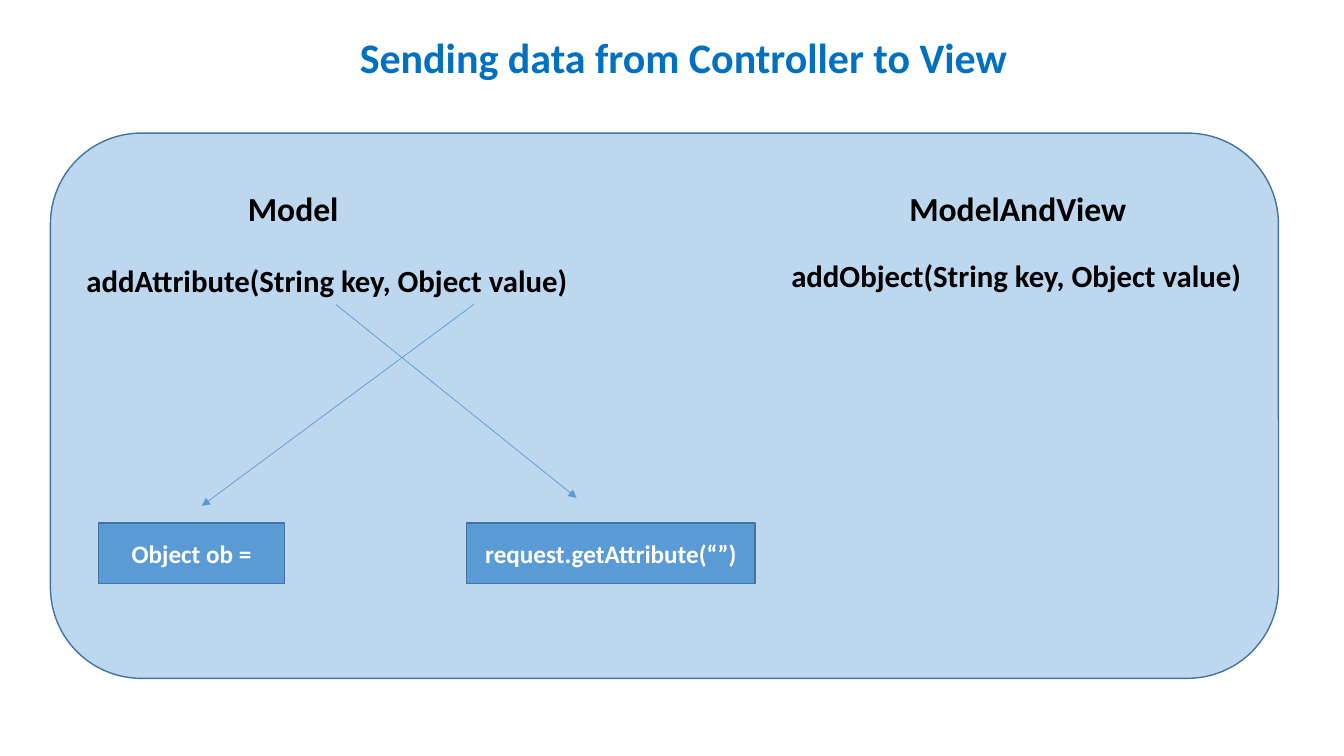
from pptx import Presentation
from pptx.dml.color import RGBColor
from pptx.enum.shapes import MSO_CONNECTOR, MSO_SHAPE
from pptx.enum.text import MSO_ANCHOR, MSO_AUTO_SIZE, PP_ALIGN
from pptx.oxml.ns import qn
from pptx.util import Inches, Pt
from lxml.etree import SubElement

PANEL_BLUE, BOX_BLUE, EDGE_BLUE = "BDD7EE", "5B9BD5", "43739E"
TITLE_BLUE, BLACK, WHITE = "0070C0", "000000", "FFFFFF"


def paint(color_format, hex_color):
    color_format.rgb = RGBColor.from_string(hex_color)


def write(frame, text, size, color, frame_format):
    for attribute, value in frame_format.items():
        setattr(frame, attribute, value)
    run = frame.paragraphs[0].add_run()
    run.text = text
    font_format = {"name": "Calibri", "size": Pt(size), "bold": True}
    for attribute, value in font_format.items():
        setattr(run.font, attribute, value)
    paint(run.font.color, color)


presentation = Presentation()
presentation.slide_width = Inches(13.33)
presentation.slide_height = Inches(7.5)
slide = presentation.slides.add_slide(presentation.slide_layouts[6])
shapes = slide.shapes

# Background panel and the two code boxes
code_top, code_height = 5.19, 0.6
blocks = [
    (MSO_SHAPE.ROUNDED_RECTANGLE, 0.5, 1.32, 12.18, 5.41, PANEL_BLUE, ""),
    (MSO_SHAPE.RECTANGLE, 0.98, code_top, 1.84, code_height, BOX_BLUE,
     "Object ob ="),
    (MSO_SHAPE.RECTANGLE, 4.63, code_top, 2.86, code_height, BOX_BLUE,
     "request.getAttribute(“”)"),
]
code_format = {"word_wrap": True, "vertical_anchor": MSO_ANCHOR.MIDDLE}
for outline, left, top, width, height, fill, code in blocks:
    block = shapes.add_shape(outline, Inches(left), Inches(top),
                             Inches(width), Inches(height))
    block.shadow.inherit = False
    block.fill.solid()
    paint(block.fill.fore_color, fill)
    paint(block.line.color, EDGE_BLUE)
    block.line.width = Pt(1)
    if code:
        write(block.text_frame, code, 18, WHITE, code_format)
        block.text_frame.paragraphs[0].alignment = PP_ALIGN.CENTER

# Title, class names and method signatures
labels = [
    ("Sending data from Controller to View", 3.47, 0.26, 6.64, 0.61, 30, TITLE_BLUE),
    ("Model", 2.36, 1.82, 1.11, 0.5, 24, BLACK),
    ("ModelAndView", 8.92, 1.82, 2.38, 0.5, 24, BLACK),
    ("addAttribute(String key, Object value)", 0.76, 2.55, 5.14, 0.47, 22, BLACK),
    ("addObject(String key, Object value)", 7.75, 2.5, 4.71, 0.47, 22, BLACK),
]
label_format = {"word_wrap": False, "auto_size": MSO_AUTO_SIZE.SHAPE_TO_FIT_TEXT}
for text, left, top, width, height, size, color in labels:
    label = shapes.add_textbox(Inches(left), Inches(top),
                               Inches(width), Inches(height))
    write(label.text_frame, text, size, color, label_format)

# Arrows from the value and the key to the code that reads them
signature_bottom = 3.02
for start_x, end_x, end_y in [(4.7, 2, 5.02), (3.33, 5.72, 4.94)]:
    arrow = shapes.add_connector(
        MSO_CONNECTOR.STRAIGHT, Inches(start_x), Inches(signature_bottom),
        Inches(end_x), Inches(end_y))
    paint(arrow.line.color, BOX_BLUE)
    arrow.line.width = Pt(0.5)
    SubElement(arrow.line._get_or_add_ln(), qn("a:tailEnd"), type="triangle")
    SubElement(arrow._element.spPr, qn("a:effectLst"))

presentation.save("out.pptx")
